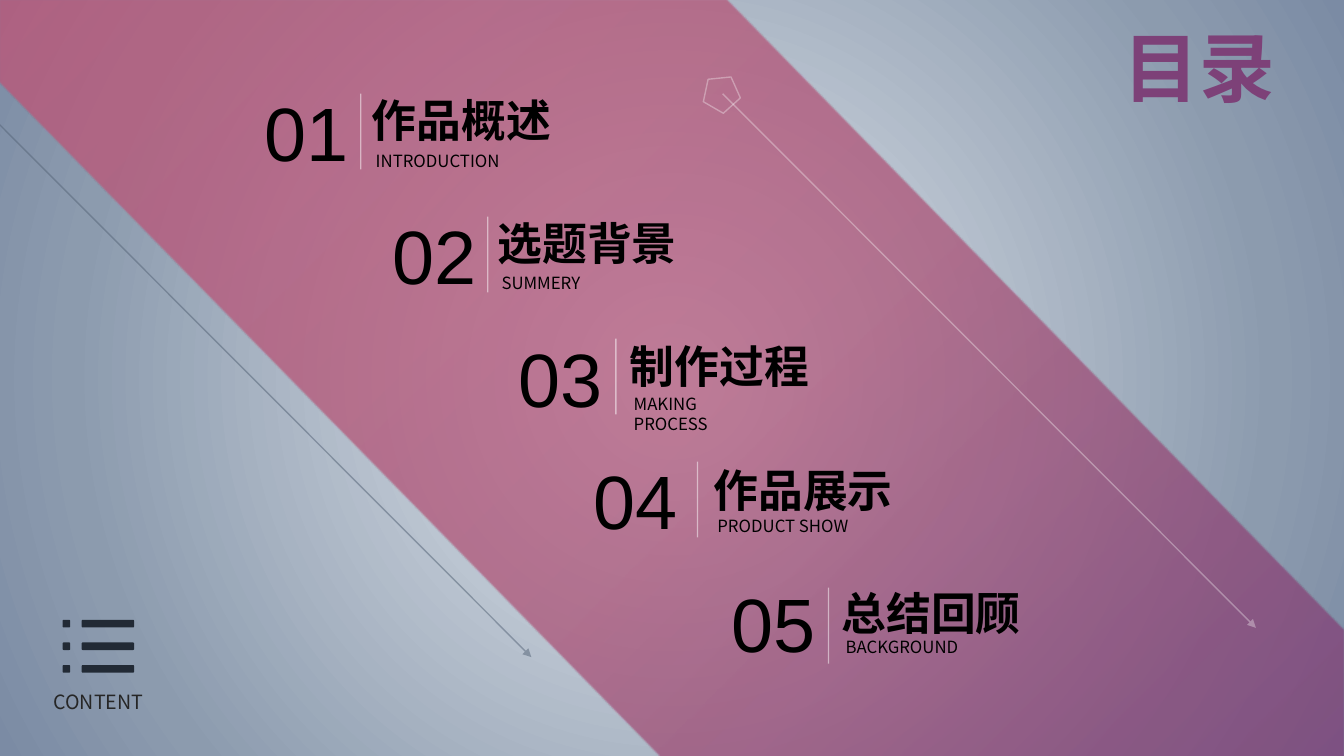
from dataclasses import dataclass

from lxml.etree import SubElement as Sub
from pptx import Presentation
from pptx.dml.color import RGBColor as RGB
from pptx.enum.shapes import MSO_CONNECTOR as Conn, MSO_SHAPE as Kind
from pptx.enum.text import MSO_ANCHOR as Anchor, MSO_AUTO_SIZE as Fit, PP_ALIGN as Align
from pptx.oxml.ns import qn
from pptx.util import Cm, Pt


@dataclass
class Theme:
    # Gradient stops: position, colour, opacity in percent
    back = [(0, "E4E9EF", 100), (78, "8C9BAE", 100), (100, "7B8BA4", 100)]
    band = [(0, "7D4178", 77), (45, "AB4A70", 68), (100, "C54F71", 68)]
    title, ink, label = "7D4178", "000000", "262626"
    icon, white, slate = "222A35", "FFFFFF", "536275"
    huge, large, mid, small = 54, 32, 14, 12
    head, body = "Arial", "Noto Sans CJK SC"


def write(home, words, box, size, color, font, bold=False, align=Align.LEFT,
          anchor=Anchor.TOP, wrap=True):
    item = home.add_textbox(*map(Cm, box))
    frame = item.text_frame
    frame.word_wrap = wrap
    frame.auto_size = Fit.SHAPE_TO_FIT_TEXT
    frame.vertical_anchor = anchor
    para = frame.paragraphs[0]
    para.alignment = align
    run = para.add_run()
    run.text = words
    run.font.size, run.font.bold, run.font.name = Pt(size), bold, font
    run.font.color.rgb = RGB.from_string(color)
    Sub(run.font._element, qn("a:ea")).set("typeface", theme.body)


def stroke(item, color, alpha, arrow=False):
    item.line.width = Pt(1)
    item.line.fill.solid()
    item.line.color.rgb = RGB.from_string(color)
    props = item._element.spPr
    tint = props.find(".//" + qn("a:ln")).find(".//" + qn("a:srgbClr"))
    Sub(tint, qn("a:alpha")).set("val", str(alpha * 1000))
    if arrow:
        Sub(props.find(qn("a:ln")), qn("a:tailEnd")).set("type", "triangle")
    if props.find(qn("a:effectLst")) is None:
        Sub(props, qn("a:effectLst"))


theme = Theme()
deck = Presentation()
deck.slide_width, deck.slide_height = Cm(33.87), Cm(19.05)
slide = deck.slides.add_slide(deck.slide_layouts[6])
shapes = slide.shapes

# Diagonal band
edge = [(18.31, 0), (33.87, 15.88), (33.87, 19.05), (16.64, 19.05), (0, 2.08)]
path = shapes.build_freeform(0, 0)
path.add_line_segments([(Cm(x), Cm(y)) for x, y in edge], close=True)
band = path.convert_to_shape()
band.shadow.inherit = False
band.line.fill.background()
band.fill.solid()
band.fill.fore_color.rgb = RGB.from_string(theme.title)

# Radial gradients of background and band
back = slide.background.fill
back.solid()
back.fore_color.rgb = RGB.from_string(theme.white)
ground = slide.element.find(".//" + qn("p:bgPr"))
for props, stops, focus in [
    (ground, theme.back, {"l": 50, "t": 50, "r": 50, "b": 50}),
    (band._element.spPr, theme.band, {"l": 100, "t": 100, "r": 0, "b": 0}),
]:
    fill = props.find(qn("a:solidFill"))
    fill.clear()
    grad = Sub(props, qn("a:gradFill"))
    props.replace(fill, grad)
    marks = Sub(grad, qn("a:gsLst"))
    for pos, color, alpha in stops:
        mark = Sub(marks, qn("a:gs"))
        mark.set("pos", str(pos * 1000))
        tint = Sub(mark, qn("a:srgbClr"))
        tint.set("val", color)
        if alpha < 100:
            Sub(tint, qn("a:alpha")).set("val", str(alpha * 1000))
    ring = Sub(grad, qn("a:path"))
    ring.set("path", "circle")
    spot = Sub(ring, qn("a:fillToRect"))
    for side, part in focus.items():
        spot.set(side, str(part * 1000))

# Heading and label
write(shapes, "目录", (27, 0.38, 6.45, 2.57), theme.huge, theme.title, theme.head,
      bold=True, align=Align.CENTER, anchor=Anchor.MIDDLE)
write(shapes, "CONTENT", (0.84, 17.27, 3.28, 0.86), theme.mid, theme.label,
      theme.body, align=Align.CENTER)

# Long arrows along the band
for ends, color, alpha in [
    ((18.21, 2.36, 31.65, 15.82), theme.white, 32),
    ((-0.05, 3.1, 13.39, 16.56), theme.slate, 50),
]:
    arrow = shapes.add_connector(Conn.STRAIGHT, *map(Cm, ends))
    stroke(arrow, color, alpha, arrow=True)

# Pentagon at the arrow's start
gem = shapes.add_shape(Kind.REGULAR_PENTAGON, Cm(17.73), Cm(1.88), Cm(0.94), Cm(0.89))
gem.rotation = 30
gem.shadow.inherit = False
gem.fill.background()
stroke(gem, theme.white, 32)

# Entries: title, subtitle, left of number, rule (x, y) and left of title
entries = [
    ("作品概述", "INTRODUCTION", 5.82, 9.09, 2.36, 9.12),
    ("选题背景", "SUMMERY", 9.04, 12.29, 5.46, 12.29),
    ("制作过程", "MAKING PROCESS", 12.22, 15.52, 8.53, 15.62),
    ("作品展示", "PRODUCT SHOW", 14.1, 17.58, 11.63, 17.73),
    ("总结回顾", "BACKGROUND", 17.58, 20.88, 14.81, 20.96),
]
for i, (name, sub, num, rule, top, left) in enumerate(entries):
    group = shapes.add_group_shape().shapes
    write(group, name, (left, 2.21 + 3.1 * i, 5.33, 1.63), theme.large, theme.ink,
          theme.head, bold=True, anchor=Anchor.MIDDLE)
    write(group, sub, (left + 0.1, 3.68 + 3.06 * i, 4, 0.76), theme.small, theme.ink,
          theme.body, wrap=False)
    write(group, f"{i + 1:02}", (num, 2.03 + 3.09 * i, 3.81, 2.57), theme.huge,
          theme.ink, theme.head, align=Align.CENTER, anchor=Anchor.MIDDLE)
    line = group.add_connector(Conn.STRAIGHT, Cm(rule), Cm(top), Cm(rule), Cm(top + 1.91))
    stroke(line, theme.white, 49)

# List icon
icon = shapes.add_group_shape().shapes
for i in range(3):
    for left, width in [(1.58, 0.19), (2.06, 1.32)]:
        bar = icon.add_shape(Kind.ROUNDED_RECTANGLE, Cm(left), Cm(15.62 + 0.57 * i),
                             Cm(width), Cm(0.19))
        bar.adjustments[0] = 0.13
        bar.shadow.inherit = False
        bar.fill.solid()
        bar.fill.fore_color.rgb = RGB.from_string(theme.icon)
        bar.line.fill.background()

deck.save("out.pptx")
